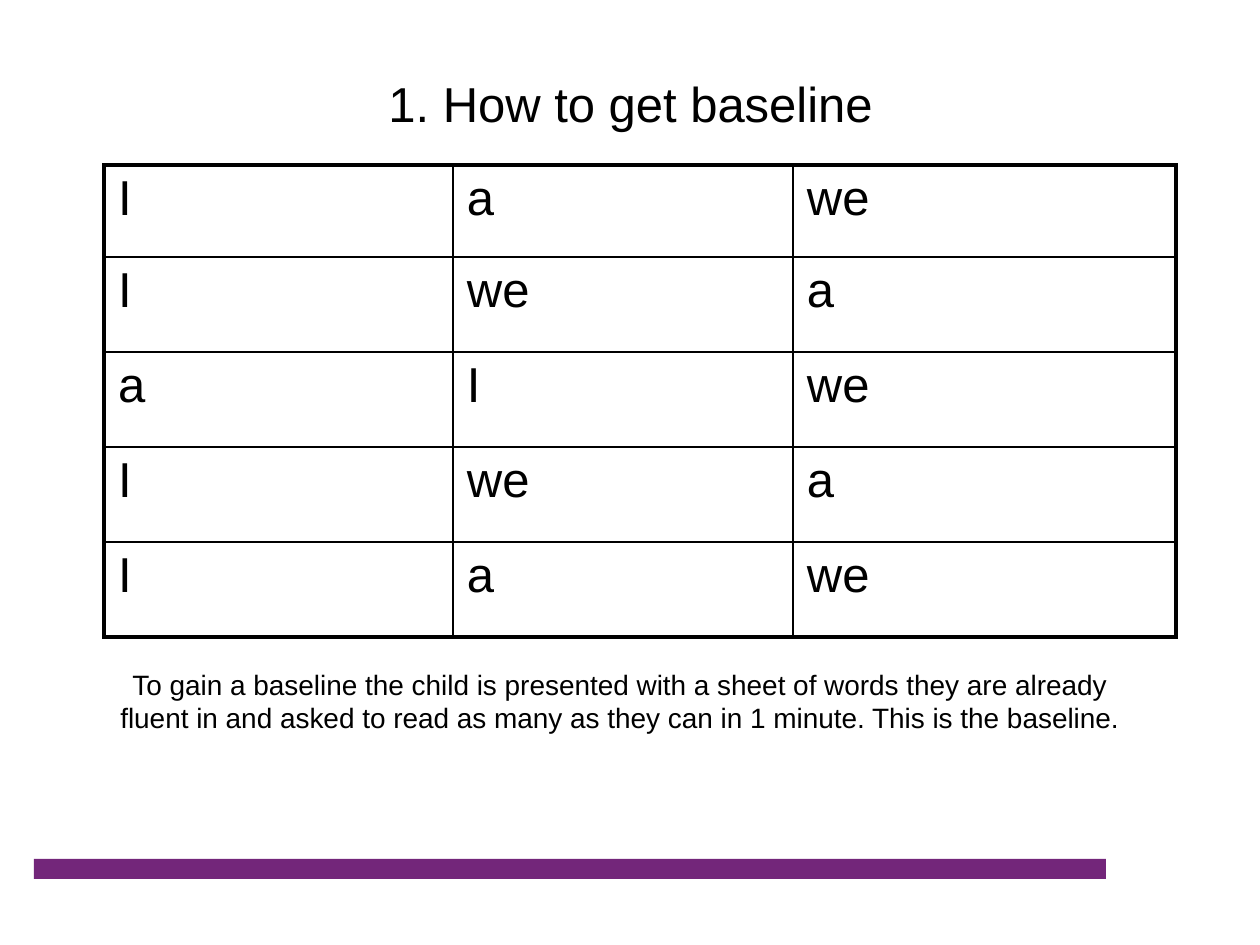
"""Build the slide on getting a reading baseline, with its sheet of words."""
from lxml import etree
from pptx import Presentation, util as u
from pptx.dml.color import RGBColor
from pptx.enum import shapes, text
from pptx.oxml.ns import qn

THEME = {
    "font": "Arial",
    "ink": RGBColor.from_string("000000"),
    "bar": RGBColor.from_string("73267A"),
    "large": u.Pt(28),
    "small": u.Pt(16),
    "outer": u.Pt(2.25),
    "inner": u.Pt(1),
}
WORDS = ["I a we", "I we a", "a I we", "I we a", "I a we"]
COLUMNS = [349, 340, 383]
ROWS = [92, 95, 95, 95, 95]


def px(*lengths):
    return [u.Emu(round(length * 914400 / 126)) for length in lengths]


def write(frame, words, size, align):
    line = frame.paragraphs[0]
    line.text = words
    line.alignment = align
    styles = {"name": THEME["font"], "size": size, "bold": False}
    for key, value in styles.items():
        setattr(line.font, key, value)
    line.font.color.rgb = THEME["ink"]


deck = Presentation()
deck.slide_width, deck.slide_height = px(1260, 945)
slide = deck.slides.add_slide(deck.slide_layouts[5])

bar = slide.shapes.add_shape(shapes.MSO_SHAPE.RECTANGLE, *px(34, 859, 1072, 20))
bar.shadow.inherit = False
bar.fill.solid()
bar.fill.fore_color.rgb = THEME["bar"]
bar.line.fill.background()

heading = slide.shapes.title
heading.left, heading.top, heading.width, heading.height = px(95, 35, 1071, 136)
heading.text_frame.vertical_anchor = text.MSO_ANCHOR.MIDDLE
write(heading.text_frame, "1. How to get baseline", THEME["large"], text.PP_ALIGN.CENTER)

sheet = slide.shapes.add_table(
    len(ROWS), len(COLUMNS), *px(104, 165, sum(COLUMNS), sum(ROWS))).table
sheet.first_row = sheet.horz_banding = False
for column, width in zip(sheet.columns, px(*COLUMNS)):
    column.width = width
for row, height in zip(sheet.rows, px(*ROWS)):
    row.height = height

for r, words in enumerate(WORDS):
    for c, word in enumerate(words.split()):
        cell = sheet.cell(r, c)
        write(cell.text_frame, word, THEME["large"], text.PP_ALIGN.LEFT)
        cell.margin_left, cell.margin_right, cell.margin_top, cell.margin_bottom = px(14, 14, 6, 6)
        cell.fill.background()
        edges = {
            "a:lnL": c == 0,
            "a:lnR": c == len(COLUMNS) - 1,
            "a:lnT": r == 0,
            "a:lnB": r == len(ROWS) - 1,
        }
        properties = cell._tc.get_or_add_tcPr()
        for place, (tag, outside) in enumerate(edges.items()):
            border = etree.Element(qn(tag), w=str(THEME["outer" if outside else "inner"]))
            fill = etree.SubElement(border, qn("a:solidFill"))
            etree.SubElement(fill, qn("a:srgbClr"), val=str(THEME["ink"]))
            properties.insert(place, border)

explanation = slide.shapes.add_textbox(*px(84, 661, 1072, 81)).text_frame
explanation.word_wrap = True
explanation.auto_size = text.MSO_AUTO_SIZE.SHAPE_TO_FIT_TEXT
write(explanation,
      "To gain a baseline the child is presented with a sheet of words they are already "
      "fluent in and asked to read as many as they can in 1 minute. This is the baseline.",
      THEME["small"], text.PP_ALIGN.CENTER)

deck.save("out.pptx")
